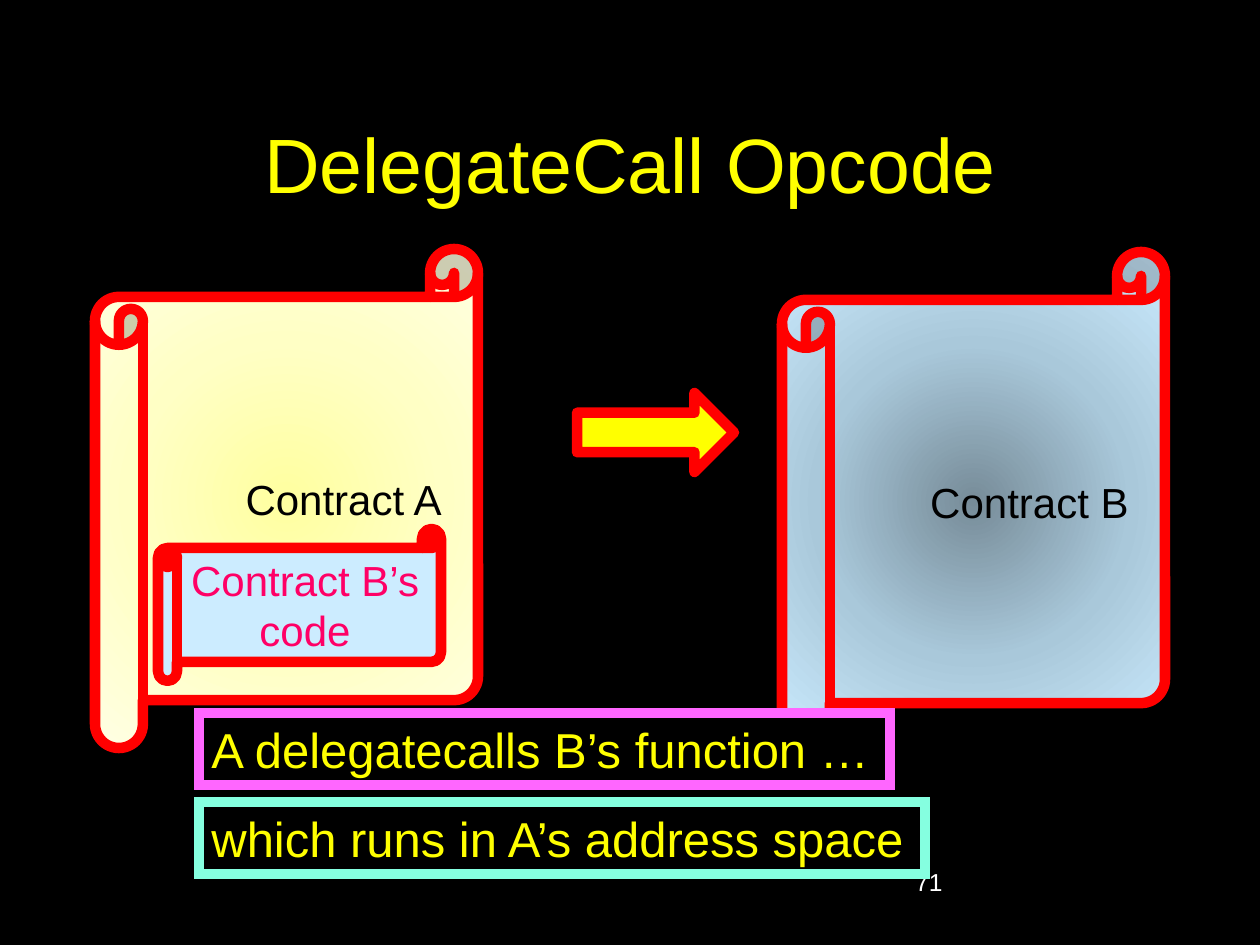
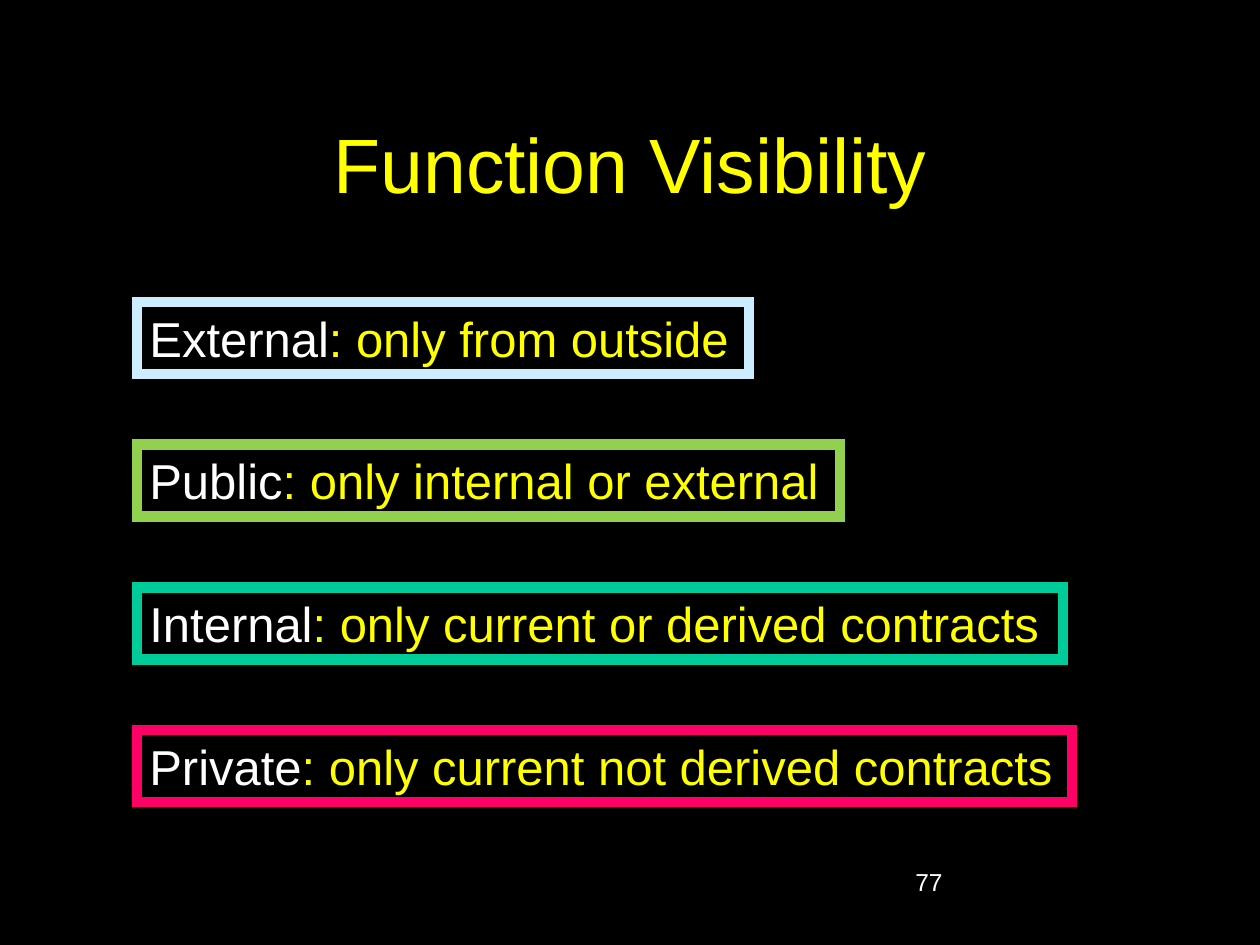
"""Build two slides on smart contract calls and function visibility."""
from lxml import etree
from pptx import Presentation
from pptx.dml.color import RGBColor
from pptx.enum.shapes import MSO_SHAPE
from pptx.enum.text import MSO_ANCHOR, MSO_AUTO_SIZE, PP_ALIGN
from pptx.oxml.ns import qn
from pptx.util import Emu, Pt

SCROLL, ARROW, BOX = MSO_SHAPE.HORIZONTAL_SCROLL, MSO_SHAPE.RIGHT_ARROW, MSO_SHAPE.RECTANGLE
LEFT, CENTER, RIGHT = PP_ALIGN.LEFT, PP_ALIGN.CENTER, PP_ALIGN.RIGHT
MIDDLE, TOP = MSO_ANCHOR.MIDDLE, MSO_ANCHOR.TOP
NO_FIT, GROW = MSO_AUTO_SIZE.NONE, MSO_AUTO_SIZE.SHAPE_TO_FIT_TEXT

COLORS = {
    "black": "000000", "white": "FFFFFF", "yellow": "FFFF00", "red": "FF0000",
    "ice": "CCECFF", "rose": "FF0066", "pink": "FF66FF", "aqua": "85FFE0",
    "green": "92D050", "teal": "00CC99",
}
GRADIENTS = {
    "cream": ("FFFFA0", "FFFFC5", "FFFFE3"),
    "steel": ("778C99", "A9C8DA", "CCECFF"),
}
FONT = "Arial"
LINE_POINTS = 6
EMU_PER_PX = 914400 / 126
SLIDE_SIZE = (1260, 945)
TITLE_AREA = (95, 84, 1071, 158)
NUMBER_AREA = (903, 861, 262, 63)
BOX_HEIGHT = 72

CONTRACTS = [
    ("Contract A", (95, 249, 383, 499), "cream"),
    ("Contract B", (782, 252, 383, 499), "steel"),
]
ARROW_AREA = (577, 393, 157, 79)
INNER_CODE = ([("Contract B’s", RIGHT), ("code", CENTER)], (158, 529, 283, 152))
CALL_LEFT = 199
CALL_STEPS = [
    ("which runs in A’s address space", 802, 726, "aqua"),
    ("A delegatecalls B’s function …", 713, 691, "pink"),
]
VISIBILITY_LEFT, VISIBILITY_FIRST, VISIBILITY_LAST = 137, 302, 730
VISIBILITY = [
    ("External", ": only from outside", 612, "ice"),
    ("Public", ": only internal or external", 703, "green"),
    ("Internal", ": only current or derived contracts", 926, "teal"),
    ("Private", ": only current not derived contracts", 935, "rose"),
]


def px(length):
    return Emu(round(length * EMU_PER_PX))


def color(name):
    return RGBColor.from_string(COLORS[name])


def set_attributes(target, values):
    for name, value in values.items():
        setattr(target, name, value)


def write(shape, paragraphs, size, wrap=False, anchor=MIDDLE, fit=NO_FIT):
    """Fill a shape with (alignment, [(text, color), ...]) paragraphs."""
    frame = shape.text_frame
    set_attributes(frame, {"word_wrap": wrap, "vertical_anchor": anchor, "auto_size": fit})
    for index, (alignment, runs) in enumerate(paragraphs):
        paragraph = frame.add_paragraph() if index else frame.paragraphs[0]
        paragraph.alignment = alignment
        for text, color_name in runs:
            run = paragraph.add_run()
            run.text = text
            set_attributes(run.font, {"name": FONT, "size": Pt(size)})
            run.font.color.rgb = color(color_name)


def fill_radial(shape, stops):
    """Give a shape a circular gradient that starts at its centre."""
    gradient = etree.Element(qn("a:gradFill"), rotWithShape="1")
    stop_list = etree.SubElement(gradient, qn("a:gsLst"))
    for position, value in zip((0, 50000, 100000), stops):
        stop = etree.SubElement(stop_list, qn("a:gs"), pos=str(position))
        etree.SubElement(stop, qn("a:srgbClr"), val=value)
    circle = etree.SubElement(gradient, qn("a:path"), {"path": "circle"})
    sides = dict.fromkeys("ltrb", "50000")
    etree.SubElement(circle, qn("a:fillToRect"), sides)
    shape.element.spPr.find(qn("a:prstGeom")).addnext(gradient)


def add_outlined(slide, kind, area, fill, line="red"):
    shape = slide.shapes.add_shape(kind, *map(px, area))
    shape.shadow.inherit = False
    if fill in GRADIENTS:
        fill_radial(shape, GRADIENTS[fill])
    else:
        shape.fill.solid()
        shape.fill.fore_color.rgb = color(fill)
    shape.line.color.rgb = color(line)
    shape.line.width = Pt(LINE_POINTS)
    return shape


def add_box(slide, left, top, width, line, runs):
    box = add_outlined(slide, BOX, (left, top, width, BOX_HEIGHT), "black", line)
    etree.SubElement(box.line._get_or_add_ln(), qn("a:miter"), lim="800000")
    write(box, [(LEFT, runs)], 28, anchor=TOP, fit=GROW)


def add_title(slide, text):
    title = slide.shapes.title
    set_attributes(title, dict(zip(("left", "top", "width", "height"), map(px, TITLE_AREA))))
    write(title, [(CENTER, [(text, "yellow")])], 44, wrap=True)


def add_number(slide, number):
    number_box = slide.shapes.add_textbox(*map(px, NUMBER_AREA))
    write(number_box, [(LEFT, [(number, "white")])], 14, wrap=True, anchor=TOP)


def build_delegate_call(slide):
    for name, area, gradient in CONTRACTS:
        contract = add_outlined(slide, SCROLL, area, gradient)
        write(contract, [(RIGHT, [(name, "black")])], 24)
    add_title(slide, "DelegateCall Opcode")
    add_number(slide, "71")
    add_outlined(slide, ARROW, ARROW_AREA, "yellow")
    lines, area = INNER_CODE
    inner_code = add_outlined(slide, SCROLL, area, "ice")
    paragraphs = [(alignment, [(text, "rose")]) for text, alignment in lines]
    write(inner_code, paragraphs, 24, fit=GROW)
    for text, top, width, line in CALL_STEPS:
        add_box(slide, CALL_LEFT, top, width, line, [(text, "yellow")])


def build_visibility(slide):
    add_title(slide, "Function Visibility")
    add_number(slide, "77")
    pitch = (VISIBILITY_LAST - VISIBILITY_FIRST) / (len(VISIBILITY) - 1)
    for index, (keyword, meaning, width, line) in enumerate(VISIBILITY):
        top = VISIBILITY_FIRST + index * pitch
        runs = [(keyword, "white"), (meaning, "yellow")]
        add_box(slide, VISIBILITY_LEFT, top, width, line, runs)


def main():
    presentation = Presentation()
    presentation.slide_width, presentation.slide_height = map(px, SLIDE_SIZE)
    background = presentation.slide_master.background.fill
    background.solid()
    background.fore_color.rgb = color("black")
    title_only = presentation.slide_layouts[5]
    for build in (build_delegate_call, build_visibility):
        build(presentation.slides.add_slide(title_only))
    presentation.save("out.pptx")


if __name__ == "__main__":
    main()
